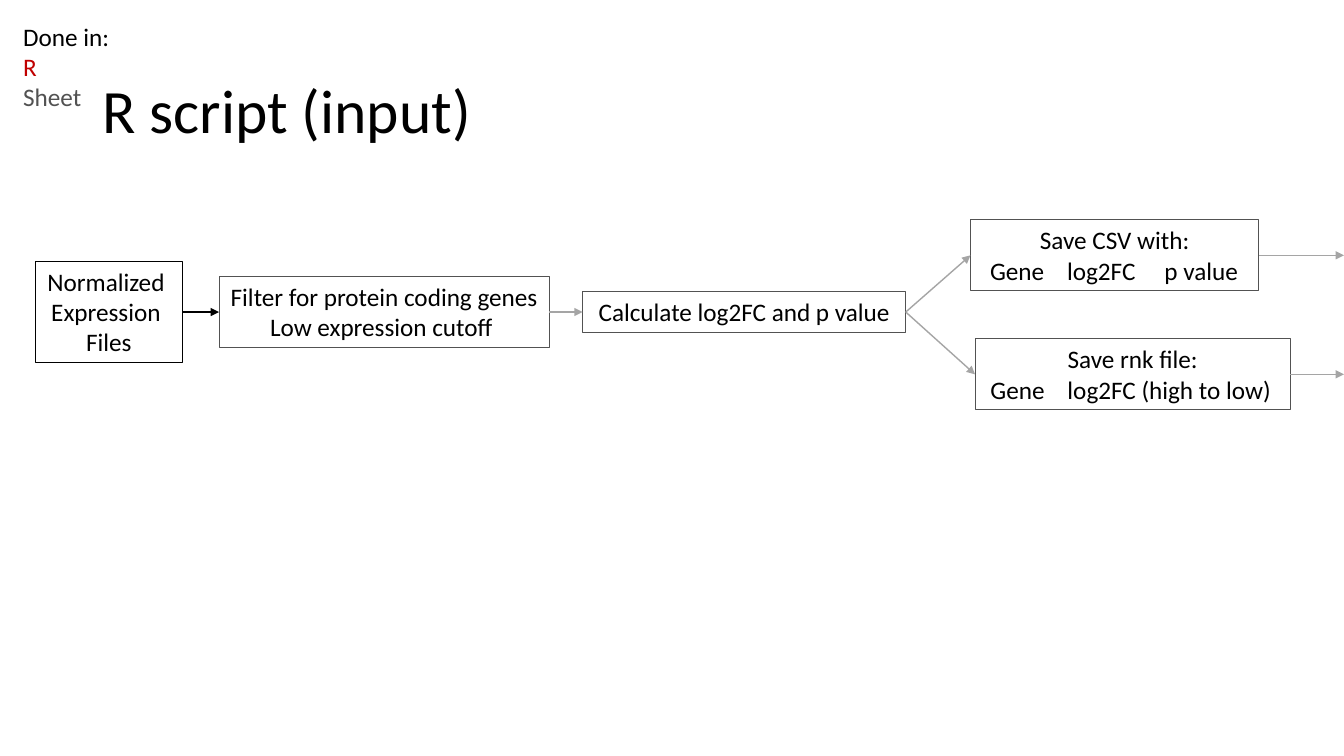
from dataclasses import dataclass

from lxml import etree
from pptx import Presentation
from pptx.dml.color import RGBColor
from pptx.enum.shapes import MSO_CONNECTOR, MSO_SHAPE
from pptx.enum.text import MSO_ANCHOR, PP_ALIGN
from pptx.oxml.ns import qn
from pptx.shapes.autoshape import Shape
from pptx.shapes.connector import Connector
from pptx.slide import Slide
from pptx.text.text import _Paragraph as Paragraph
from pptx.util import Pt

BLACK = RGBColor(0x00, 0x00, 0x00)
RED = RGBColor(0xC0, 0x00, 0x00)
DARK_GRAY = RGBColor(0x52, 0x52, 0x52)
LIGHT_GRAY = RGBColor(0xA5, 0xA5, 0xA5)

FONT = "Calibri"
SLIDE_WIDTH, SLIDE_HEIGHT = 960, 540
LINE_HEIGHT, VERTICAL_PADDING = 21.8, 7.3
MAIN_ROW, CSV_ROW, RNK_ROW = 222.9, 182.4, 267.4
COLUMN_STOPS = (55, 124.5)
TOP, LEFT, BOTTOM, RIGHT = range(4)


@dataclass(frozen=True)
class Step:
    name: str
    left: float
    middle: float
    width: float
    lines: tuple[str, ...]
    outline: RGBColor = DARK_GRAY
    side_inset: float = 7.2


@dataclass(frozen=True)
class Arrow:
    start: str
    end: str
    color: RGBColor = LIGHT_GRAY


@dataclass(frozen=True)
class TextLine:
    text: str
    color: RGBColor = BLACK


STEPS = (
    Step("files", 25.2, MAIN_ROW, 105.1, ("Normalized ", "Expression ", "Files"), BLACK),
    Step("filter", 156.5, MAIN_ROW, 235.8,
         ("Filter for protein coding genes", "Low expression cutoff ")),
    Step("calculate", 416.2, MAIN_ROW, 230.8, ("Calculate log2FC and p value",)),
    Step("csv", 693.2, CSV_ROW, 206, ("Save CSV with:", "Gene\tlog2FC\tp value"),
         side_inset=14),
    Step("rnk", 696.5, RNK_ROW, 225.2, ("Save rnk file:", "Gene\tlog2FC (high to low)"),
         side_inset=11),
)
ARROWS = (
    Arrow("files", "filter", BLACK),
    Arrow("filter", "calculate"),
    Arrow("calculate", "csv"),
    Arrow("calculate", "rnk"),
)
OUTPUT_STEPS = ("csv", "rnk")
LEGEND = (TextLine("Done in:"), TextLine("R", RED), TextLine("Sheet", DARK_GRAY))


def add_text(paragraph: Paragraph, text: str, size: float, color: RGBColor = BLACK) -> None:
    run = paragraph.add_run()
    run.text = text
    run.font.name = FONT
    run.font.size = Pt(size)
    run.font.color.rgb = color


def align_columns(paragraph: Paragraph) -> None:
    """Left-align a tabbed line and give it tab stops."""
    paragraph.alignment = PP_ALIGN.LEFT
    tab_list = etree.SubElement(paragraph._p.get_or_add_pPr(), qn("a:tabLst"))
    for stop in COLUMN_STOPS:
        etree.SubElement(tab_list, qn("a:tab"), pos=str(Pt(stop)), algn="l")


def add_step(slide: Slide, step: Step) -> Shape:
    height = VERTICAL_PADDING + LINE_HEIGHT * len(step.lines)
    shape = slide.shapes.add_shape(
        MSO_SHAPE.RECTANGLE, Pt(step.left), Pt(step.middle - height / 2),
        Pt(step.width), Pt(height))
    shape.shadow.inherit = False
    shape.fill.background()
    shape.line.color.rgb = step.outline
    shape.line.width = Pt(0.75)
    frame = shape.text_frame
    frame.word_wrap = any("\t" in line for line in step.lines)
    frame.vertical_anchor = MSO_ANCHOR.TOP
    frame.margin_left = frame.margin_right = Pt(step.side_inset)
    for index, line in enumerate(step.lines):
        paragraph = frame.add_paragraph() if index else frame.paragraphs[0]
        paragraph.alignment = PP_ALIGN.CENTER
        if "\t" in line:
            align_columns(paragraph)
        add_text(paragraph, line, 18)
    return shape


def add_arrow(slide: Slide, start: Shape, color: RGBColor) -> Connector:
    """Draw an arrow from the right side of a step to the slide edge."""
    middle = start.top + start.height // 2
    connector = slide.shapes.add_connector(
        MSO_CONNECTOR.STRAIGHT, start.left + start.width, middle, Pt(SLIDE_WIDTH), middle)
    connector.begin_connect(start, RIGHT)
    connector.line.color.rgb = color
    connector.line.width = Pt(1)
    etree.SubElement(connector.line._get_or_add_ln(), qn("a:tailEnd"), type="triangle")
    etree.SubElement(connector._element.spPr, qn("a:effectLst"))
    return connector


def add_title(slide: Slide) -> None:
    title = slide.shapes.add_textbox(Pt(66), Pt(28.75), Pt(828), Pt(104.4))
    frame = title.text_frame
    frame.word_wrap = True
    frame.vertical_anchor = MSO_ANCHOR.MIDDLE
    frame.paragraphs[0].line_spacing = 0.9
    add_text(frame.paragraphs[0], "R script (input)", 44)


def add_legend(slide: Slide) -> None:
    legend = slide.shapes.add_textbox(Pt(9.4), Pt(11.5), Pt(77.8), Pt(72.7))
    frame = legend.text_frame
    frame.word_wrap = True
    for index, line in enumerate(LEGEND):
        paragraph = frame.add_paragraph() if index else frame.paragraphs[0]
        add_text(paragraph, line.text, 18, line.color)


def main() -> None:
    presentation = Presentation()
    presentation.slide_width = Pt(SLIDE_WIDTH)
    presentation.slide_height = Pt(SLIDE_HEIGHT)
    slide = presentation.slides.add_slide(presentation.slide_layouts[6])
    add_title(slide)
    add_legend(slide)
    boxes = {step.name: add_step(slide, step) for step in STEPS}
    for arrow in ARROWS:
        connector = add_arrow(slide, boxes[arrow.start], arrow.color)
        connector.end_connect(boxes[arrow.end], LEFT)
    for name in OUTPUT_STEPS:
        add_arrow(slide, boxes[name], LIGHT_GRAY)
    presentation.save("out.pptx")


if __name__ == "__main__":
    main()
